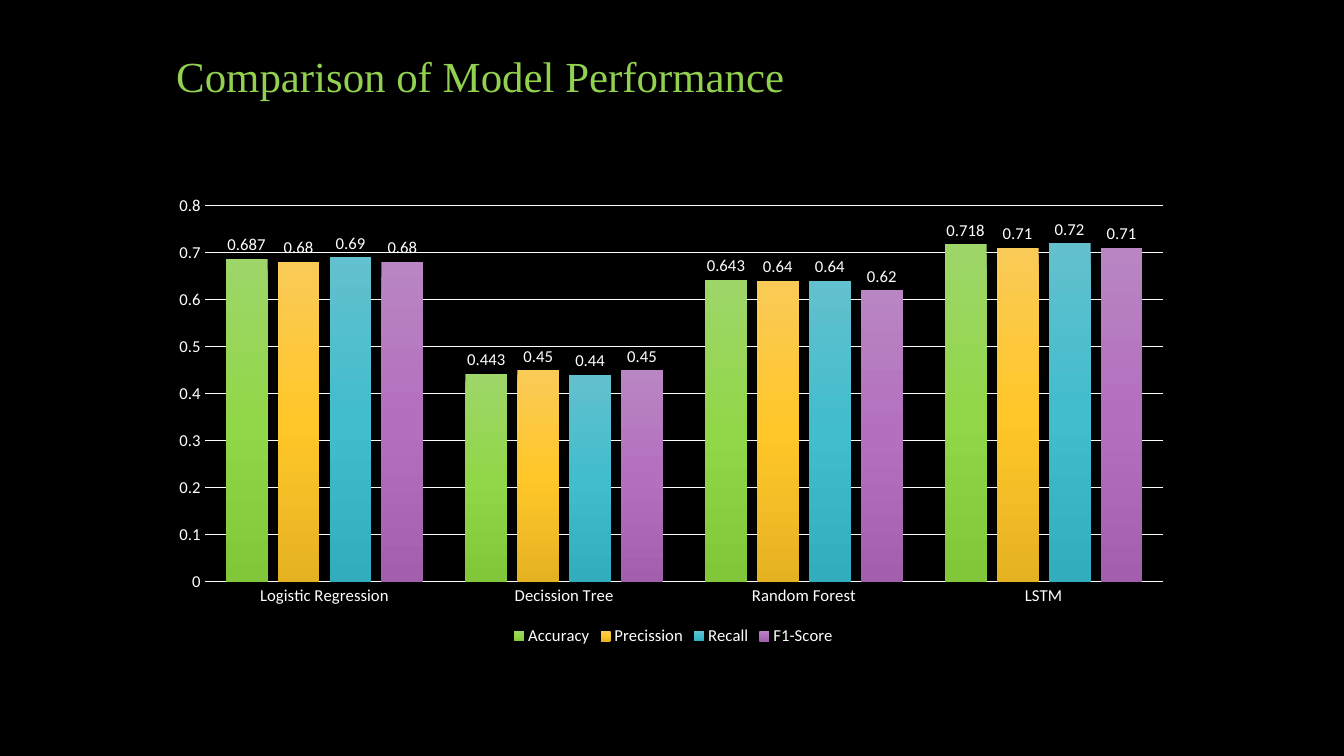
from lxml import etree
from pptx import Presentation
from pptx.chart.data import CategoryChartData
from pptx.dml.color import RGBColor
from pptx.enum.chart import (XL_CHART_TYPE, XL_LABEL_POSITION,
                             XL_LEGEND_POSITION, XL_TICK_MARK)
from pptx.enum.text import MSO_ANCHOR
from pptx.oxml import parse_xml
from pptx.oxml.ns import nsdecls, qn
from pptx.util import Inches, Pt

CLUSTERED = XL_CHART_TYPE.COLUMN_CLUSTERED
OUTSIDE_END = XL_LABEL_POSITION.OUTSIDE_END
LEGEND_BOTTOM = XL_LEGEND_POSITION.BOTTOM
NO_TICKS = XL_TICK_MARK.NONE
ANCHOR_BOTTOM = MSO_ANCHOR.BOTTOM

BLACK = RGBColor(0x00, 0x00, 0x00)
WHITE = RGBColor(0xFF, 0xFF, 0xFF)
TITLE_GREEN = RGBColor(0x92, 0xD0, 0x50)

TITLE_BOX = (1.65, 0.8, 10, 0.26)
CHART_BOX = (1.68, 1.78, 10, 4.67)
PLOT_AREA = {"x": 0.035, "y": 0.056, "w": 0.951, "h": 0.799}
CHART_TEXT_SIZE = 11.9

MODELS = ["Logistic Regression", "Decission Tree", "Random Forest", "LSTM"]
# Metric: (scores by model, gradient colours from top to bottom)
METRICS = {
    "Accuracy": ((0.687, 0.443, 0.643, 0.718), ("9ED669", "92D64A", "82C63A")),
    "Precission": ((0.68, 0.45, 0.64, 0.71), ("FACA57", "FFC729", "E5B222")),
    "Recall": ((0.69, 0.44, 0.64, 0.72), ("63C0CE", "41BDCD", "32ADBE")),
    "F1-Score": ((0.68, 0.45, 0.62, 0.71), ("B985C2", "B370BE", "A260AC")),
}


def style_font(font, size, color, name):
    font.size = Pt(size)
    font.color.rgb = color
    font.name = name


def style_chart_font(font):
    style_font(font, CHART_TEXT_SIZE, WHITE, "Calibri")


def add_title(page, box, text):
    title = page.shapes.add_textbox(*map(Inches, box))
    frame = title.text_frame
    frame.word_wrap = True
    frame.vertical_anchor = ANCHOR_BOTTOM
    para = frame.paragraphs[0]
    para.text = text
    para.line_spacing = 0.9
    style_font(para.font, 30.6, TITLE_GREEN, "Times New Roman")


def fill_with_gradient(series, colors):
    fill = series.format.fill
    fill.gradient()
    fill.gradient_angle = 270
    # Three evenly spaced stops
    stops = next(series._element.iter(qn("a:gsLst")))
    for stop in list(stops):
        stops.remove(stop)
    for index, color in enumerate(colors):
        stop = etree.SubElement(stops, qn("a:gs"), pos=str(index * 50000))
        etree.SubElement(stop, qn("a:srgbClr"), val=color)


def place_plot_area(chart, fractions):
    plot_area = next(chart._chartSpace.iter(qn("c:plotArea")))
    for layout in plot_area.findall(qn("c:layout")):
        plot_area.remove(layout)
    lengths = "".join(f'<c:{key} val="{value}"/>' for key, value in fractions.items())
    plot_area.insert(0, parse_xml(
        f'<c:layout {nsdecls("c")}><c:manualLayout><c:layoutTarget val="inner"/>'
        f'<c:xMode val="edge"/><c:yMode val="edge"/>{lengths}'
        '</c:manualLayout></c:layout>'))


def style_axes(chart):
    for axis in (chart.category_axis, chart.value_axis):
        axis.major_tick_mark = NO_TICKS
        axis.minor_tick_mark = NO_TICKS
        style_chart_font(axis.tick_labels.font)

    category_line = chart.category_axis.format.line
    category_line.color.rgb = WHITE
    category_line.width = Pt(1)

    value_axis = chart.value_axis
    value_axis.minimum_scale = 0
    value_axis.maximum_scale = 0.8
    value_axis.major_unit = 0.1
    value_axis.tick_labels.number_format = "General"
    value_axis.tick_labels.number_format_is_linked = False
    value_axis.format.line.fill.background()
    grid_line = value_axis.major_gridlines.format.line
    grid_line.color.rgb = WHITE
    grid_line.width = Pt(0.75)


def add_performance_chart(page, box):
    data = CategoryChartData()
    data.categories = MODELS
    for metric, (scores, _) in METRICS.items():
        data.add_series(metric, scores)
    chart = page.shapes.add_chart(CLUSTERED, *map(Inches, box), data).chart
    chart.has_title = False
    style_font(chart.font, 10, WHITE, "Calibri")

    # Columns with their value labels
    plot = chart.plots[0]
    plot.vary_by_categories = False
    plot.gap_width = 100
    plot.overlap = -24
    for series in plot.series:
        fill_with_gradient(series, METRICS[series.name][1])
        labels = series.data_labels
        labels.show_value = True
        labels.position = OUTSIDE_END
        style_chart_font(labels.font)

    style_axes(chart)
    place_plot_area(chart, PLOT_AREA)

    # Legend
    chart.has_legend = True
    chart.legend.position = LEGEND_BOTTOM
    chart.legend.include_in_layout = False
    style_chart_font(chart.legend.font)


def main():
    deck = Presentation()
    deck.slide_width = Inches(13.33)
    deck.slide_height = Inches(7.5)
    page = deck.slides.add_slide(deck.slide_layouts[6])
    page.background.fill.solid()
    page.background.fill.fore_color.rgb = BLACK
    add_title(page, TITLE_BOX, "Comparison of Model Performance")
    add_performance_chart(page, CHART_BOX)
    deck.save("out.pptx")


if __name__ == "__main__":
    main()
